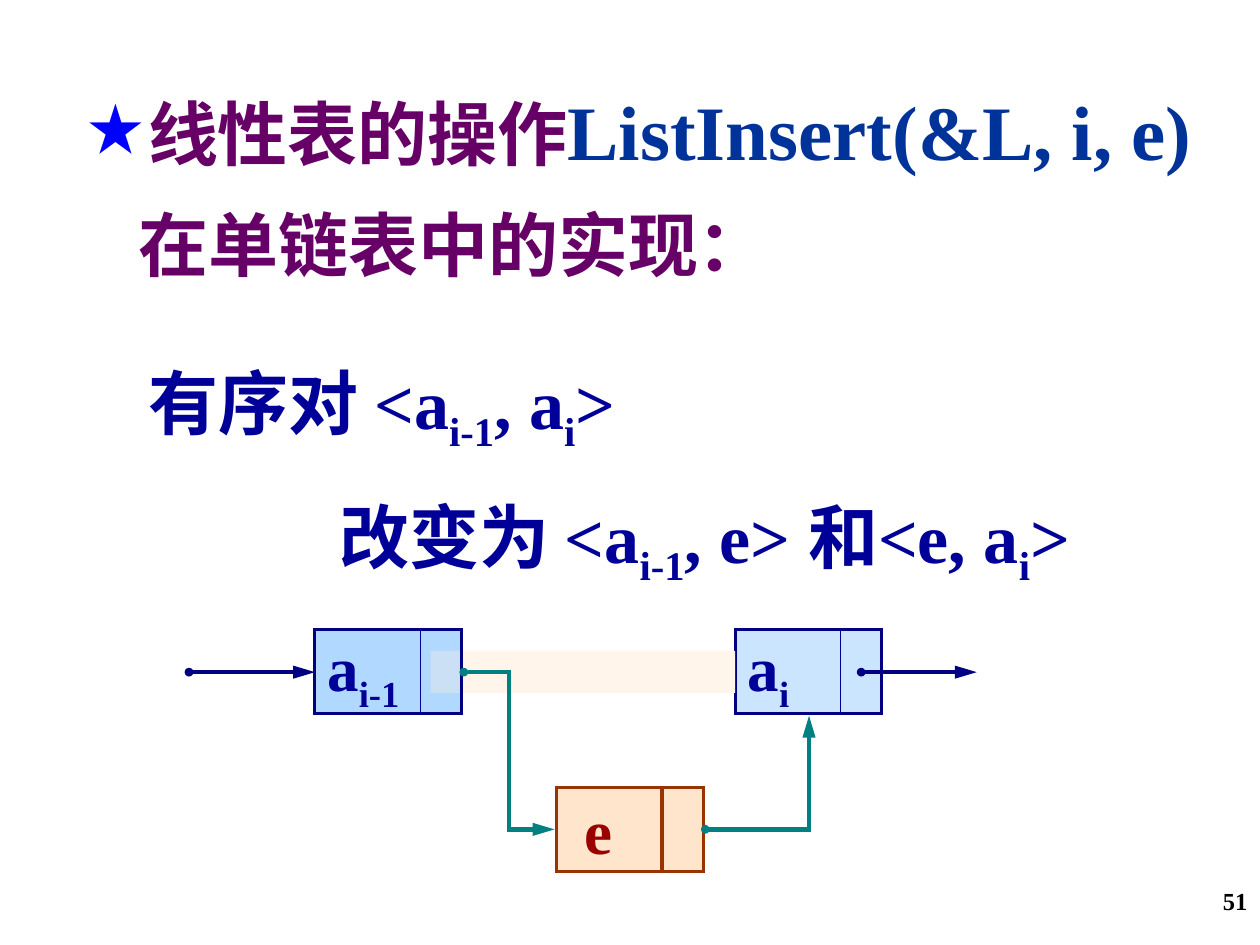
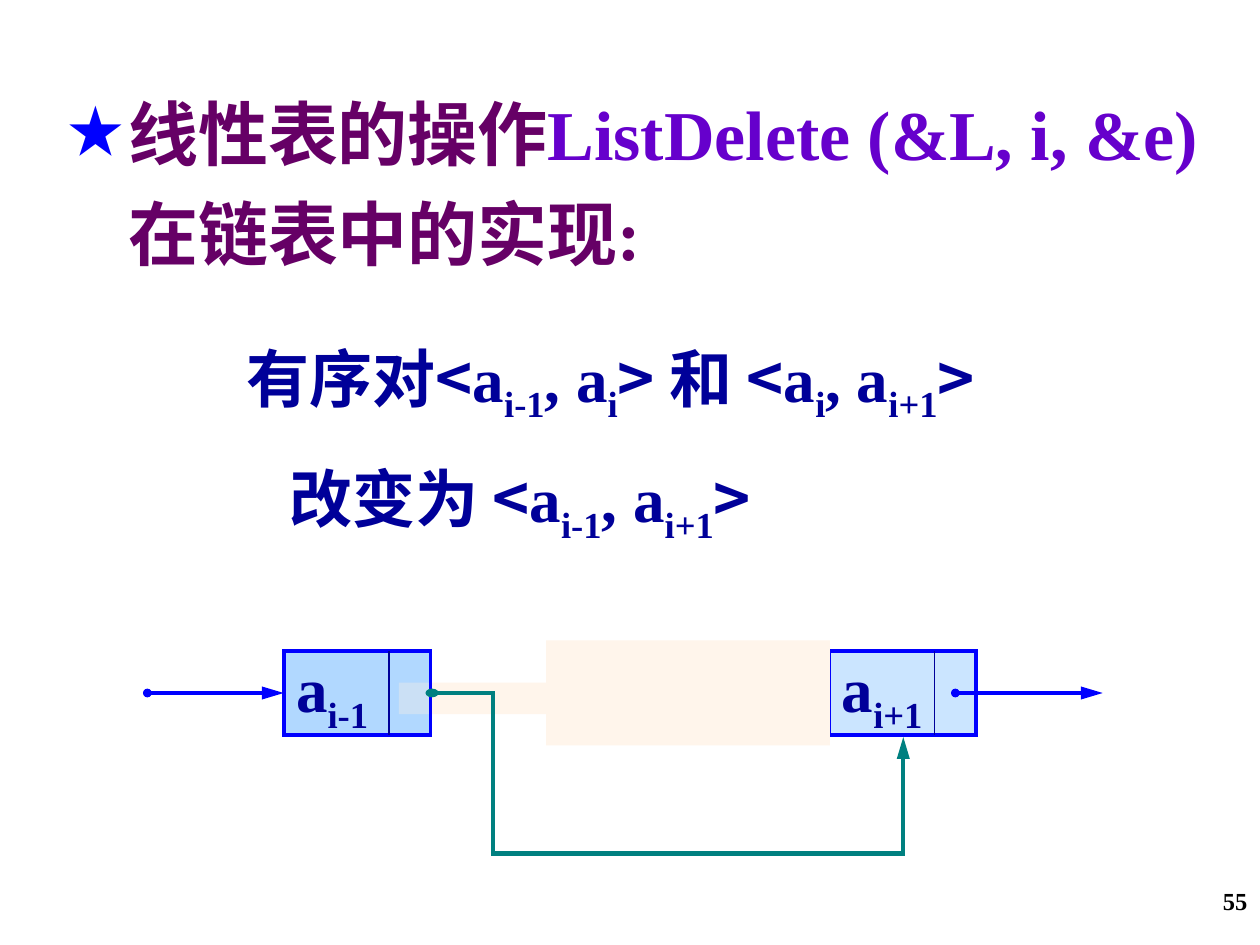
from lxml import etree
from pptx import Presentation
from pptx import util as u
from pptx.dml.color import RGBColor
from pptx.enum import shapes, text
from pptx.oxml import ns

BLACK = RGBColor(0, 0, 0)
PURPLE = RGBColor(0x66, 0, 0x66)
VIOLET = RGBColor(0x66, 0, 0xCC)
ROYAL = RGBColor(0, 0x33, 0x99)
INK = RGBColor(0, 0, 0x99)
NAVY = RGBColor(0, 0, 0x80)
BLUE = RGBColor(0, 0, 0xFF)
SKY = RGBColor(0x99, 0xCC, 0xFF)
TEAL = RGBColor(0, 0x80, 0x80)
RED = RGBColor(0x99, 0, 0)
RUST = RGBColor(0x99, 0x33, 0)
PEACH = RGBColor(0xFF, 0xCC, 0x99)
CREAM = RGBColor(0xFF, 0xF5, 0xEB)
SERIF, SANS = "Times New Roman", "Noto Sans CJK SC"
NODE_WIDTH, NODE_HEIGHT, DIVIDER, MIDDLE = 2.96, 1.69, 2.12, 0.85


def add_xml(parent, tag, **attributes):
    """Append a drawing element with the given attributes."""
    return etree.SubElement(parent, ns.qn(tag), attributes)


def add_span(para, words, size, color, font=SERIF, sub=False):
    """Add one bold run, lowered when it is a subscript."""
    span = para.add_run()
    span.text = words
    formats = {"size": u.Pt(size), "name": font, "bold": True}
    for name, value in formats.items():
        setattr(span.font, name, value)
    span.font.color.rgb = color
    properties = span.font._element
    add_xml(properties, "a:ea", typeface=SANS)
    if sub:
        properties.set("baseline", "-25000")


def add_formula(para, words, size, color, sign_font=SERIF):
    """Add text whose parts between bars are subscripts, with signs in their own font."""
    for index, part in enumerate(words.split("|")):
        if index % 2:
            add_span(para, part, size, color, sub=True)
            continue
        signs, letter, rest = part.partition("a")
        if letter and signs.startswith(","):
            signs, letter = "", part
            rest = ""
        for piece, font in ((signs, sign_font), (letter + rest, SERIF)):
            if piece:
                add_span(para, piece, size, color, font)


def set_frame(frame, **formats):
    """Format a text frame from keyword values."""
    values = {"word_wrap": True, "auto_size": text.MSO_AUTO_SIZE.NONE,
              "vertical_anchor": text.MSO_ANCHOR.TOP, **formats}
    for name, value in values.items():
        setattr(frame, name, value)
    return frame


def indent(para, left, first=0):
    """Set the left margin and first-line indent of a paragraph."""
    properties = para._p.get_or_add_pPr()
    properties.set("marL", str(u.Cm(left)))
    properties.set("indent", str(u.Cm(first)))
    return properties


def add_heading(page, box, lines, call, call_size, call_color, second_indent, gap):
    """Fill the title with a starred line and a continuation line."""
    title = page.shapes.title
    for name, value in zip(("left", "top", "width", "height"), box):
        setattr(title, name, u.Cm(value))
    frame = set_frame(title.text_frame)
    first, second = frame.paragraphs[0], frame.add_paragraph()
    for para in (first, second):
        para.alignment = text.PP_ALIGN.LEFT
        para.line_spacing = 1.2
    second.space_before = u.Pt(gap)
    properties = indent(first, 1.22, -1.22)
    add_xml(add_xml(properties, "a:buClr"), "a:srgbClr", val=str(BLUE))
    add_xml(properties, "a:buFont", typeface=SERIF)
    add_xml(properties, "a:buChar", char="★")
    indent(second, second_indent)
    add_span(first, lines[0], 40, PURPLE, SANS)
    add_span(first, call, call_size, call_color)
    for piece, font in lines[1]:
        add_span(second, piece, 40, PURPLE, font)


def add_statement(page, box, lines, size, sign_font):
    """Add the ordered pairs, one indented line each."""
    frame = set_frame(page.shapes.add_textbox(*map(u.Cm, box)).text_frame)
    for index, (left, words) in enumerate(lines):
        para = frame.add_paragraph() if index else frame.paragraphs[0]
        para.line_spacing = 1.4
        indent(para, left)
        add_formula(para, words, size, INK, sign_font)


def add_number(page, number):
    """Add the page number at the bottom right."""
    box = page.shapes.add_textbox(u.Cm(19.48), u.Cm(17.73), u.Cm(5.92), u.Cm(1.32))
    para = set_frame(box.text_frame).paragraphs[0]
    para.alignment = text.PP_ALIGN.RIGHT
    add_span(para, number, 14, BLACK)


class Diagram:
    """Draws list nodes and links relative to an origin."""

    def __init__(self, page, left, top, line_color, line_width):
        self.page, self.left, self.top = page, left, top
        self.line_color, self.line_width = line_color, line_width

    def block(self, left, top, width, height, fill, alpha=None):
        """Add a borderless rectangle."""
        block = self.page.shapes.add_shape(
            shapes.MSO_SHAPE.RECTANGLE, u.Cm(self.left + left), u.Cm(self.top + top),
            u.Cm(width), u.Cm(height))
        block.shadow.inherit = False
        block.fill.solid()
        block.fill.fore_color.rgb = fill
        block.line.fill.background()
        if alpha:
            color = block._element.spPr.find(ns.qn("a:solidFill"))[0]
            add_xml(color, "a:alpha", val=str(alpha * 1000))
        return block

    def line(self, start, end, color, width, kind="line", arrow=True, adjust=(), dot="sm"):
        """Add a straight or bent line, with a dot and an arrowhead if wanted."""
        style = shapes.MSO_CONNECTOR.STRAIGHT if kind == "line" else shapes.MSO_CONNECTOR.ELBOW
        points = [u.Cm(origin + offset) for point in (start, end)
                  for origin, offset in zip((self.left, self.top), point)]
        link = self.page.shapes.add_connector(style, *points)
        link.line.color.rgb = color
        link.line.width = u.Pt(width)
        properties = link._element.spPr
        geometry = properties.find(ns.qn("a:prstGeom"))
        geometry.set("prst", kind)
        for index, value in enumerate(adjust, 1):
            add_xml(geometry.find(ns.qn("a:avLst")), "a:gd",
                    name=f"adj{index}", fmla=f"val {value}")
        outline = link.line._get_or_add_ln()
        add_xml(outline, "a:miter", lim="800000")
        if arrow:
            add_xml(outline, "a:headEnd", type="oval", w="sm", len=dot)
            add_xml(outline, "a:tailEnd", type="triangle", w="med", len="lg")
        add_xml(properties, "a:effectLst")

    def node(self, left, top, label, fill=SKY, ink=INK, edge=None, edge_width=None,
             divider=(INK, 0.75), inset=0.25):
        """Add a node with its label and the divider before its pointer."""
        node = self.block(left, top, NODE_WIDTH, NODE_HEIGHT, fill, 50)
        node.line.color.rgb = edge or self.line_color
        node.line.width = u.Pt(edge_width or self.line_width)
        add_xml(node.line._get_or_add_ln(), "a:miter", lim="800000")
        frame = set_frame(node.text_frame, word_wrap=False, margin_left=u.Cm(inset),
                          vertical_anchor=text.MSO_ANCHOR.MIDDLE)
        frame.paragraphs[0].alignment = text.PP_ALIGN.LEFT
        add_formula(frame.paragraphs[0], label, 36, ink)
        across = left + DIVIDER
        self.line((across, top), (across, top + NODE_HEIGHT), *divider, arrow=False)

    def chain(self, first, last, last_label, out_end, strip):
        """Add the first and last nodes, their outer arrows and the erased link."""
        self.block(first, 0, NODE_WIDTH, NODE_HEIGHT, SKY, 50)
        self.line((0, MIDDLE), (first, MIDDLE), self.line_color, 2.5)
        self.node(last, 0, last_label)
        self.line((last + 2.54, MIDDLE), (out_end, MIDDLE), self.line_color, 2.5)
        self.block(*strip, CREAM)
        self.node(first, 0, "a|i-1|")


def draw_insertion(page, left, top):
    """Show node e linked in between two neighbours."""
    diagram = Diagram(page, left, top, NAVY, 1.75)
    diagram.chain(2.54, 11.01, "a|i|", 15.88, (4.87, 0.42, 6.14, 0.85))
    diagram.node(7.41, 3.18, "e", PEACH, RED, RUST, 2, (RUST, 2), 0.56)
    diagram.line((5.54, MIDDLE), (7.37, 4.02), TEAL, 2.5, "bentConnector3")
    diagram.line((10.41, 4.02), (12.5, 1.73), TEAL, 2.5, "bentConnector2")


def draw_deletion(page, left, top):
    """Show the link that passes by the removed node."""
    diagram = Diagram(page, left, top, BLUE, 2.25)
    diagram.chain(2.75, 13.75, "a|i+1|", 19.26, (5.07, 0.64, 3.18, 0.64))
    diagram.line((5.74, MIDDLE), (15.24, 1.74), TEAL, 2.5, "bentConnector4",
                 adjust=(13000, 364100), dot="med")
    diagram.block(8.04, -0.21, 5.72, 2.12, CREAM)


def main():
    """Build and save both slides."""
    deck = Presentation()
    deck.slide_width, deck.slide_height = u.Cm(25.4), u.Cm(19.05)
    layout = deck.slide_layouts[5]

    page = deck.slides.add_slide(layout)
    add_heading(page, (1.51, 1.19, 23.89, 4.72),
                ("线性表的操作", [("在单链表中的实现：", SANS)]),
                "ListInsert(&L, i, e)", 44, ROYAL, 1.03, 5)
    add_statement(page, (2.44, 6.35, 22, 6),
                  [(0.31, "有序对 <a|i-1|, a|i|>"),
                   (4.15, "改变为 <a|i-1|, e> 和<e, a|i|>")], 40, SERIF)
    draw_insertion(page, 3.81, 12.7)
    add_number(page, "51")

    page = deck.slides.add_slide(layout)
    add_heading(page, (1.11, 1.35, 24.29, 4.32),
                ("线性表的操作", [("在链表中的实现", SANS), (":", SERIF)]),
                "ListDelete (&L, i, &e)", 40, VIOLET, 1.22, 0)
    add_statement(page, (4.72, 6.02, 16.76, 5.1),
                  [(0, "有序对<a|i-1|, a|i|> 和 <a|i|, a|i+1|>"),
                   (0.86, "改变为 <a|i-1|, a|i+1|>")], 36, SANS)
    draw_deletion(page, 2.97, 13.12)
    add_number(page, "55")

    deck.save("out.pptx")


if __name__ == "__main__":
    main()
